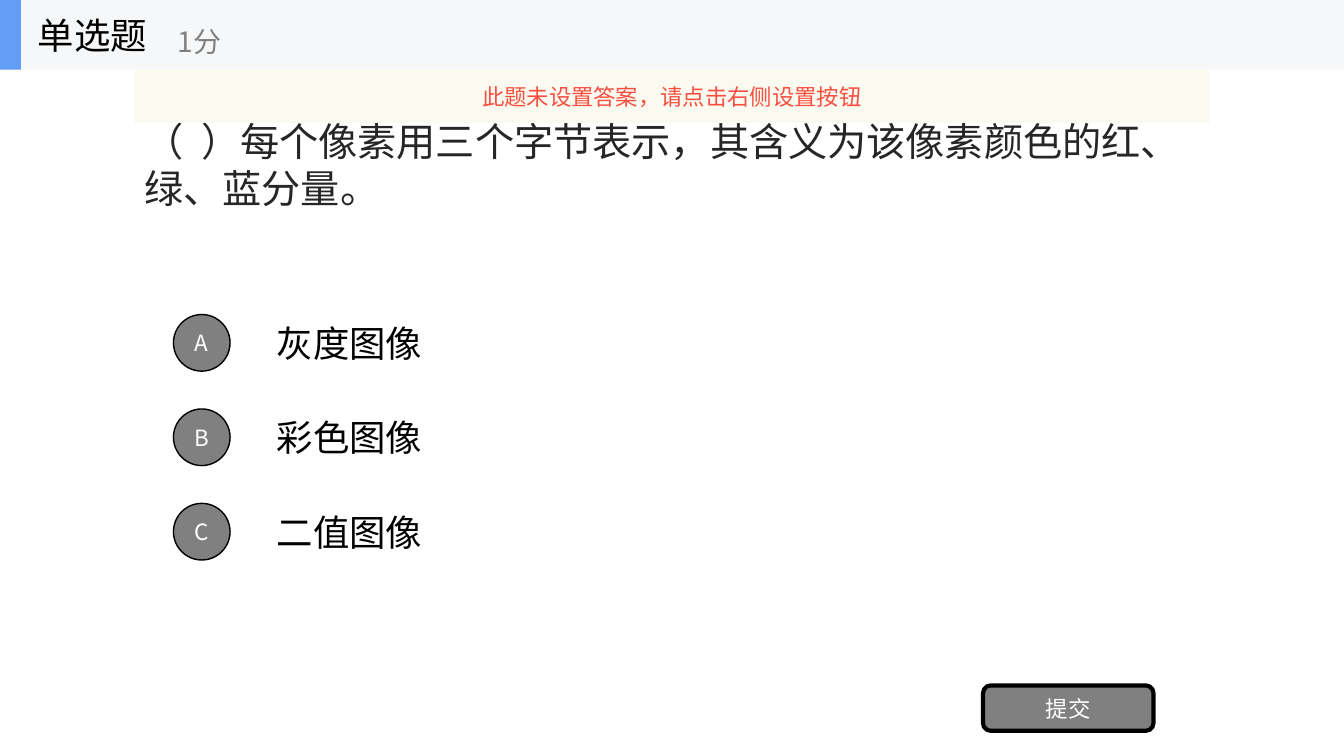
from dataclasses import dataclass

from lxml import etree
from pptx import Presentation
from pptx.dml.color import RGBColor
from pptx.enum.shapes import MSO_SHAPE
from pptx.enum.text import MSO_ANCHOR, PP_ALIGN
from pptx.oxml.ns import qn
from pptx.util import Inches, Pt

RECTANGLE, OVAL, ROUNDED = MSO_SHAPE.RECTANGLE, MSO_SHAPE.OVAL, MSO_SHAPE.ROUNDED_RECTANGLE
LEFT, CENTER, MIDDLE = PP_ALIGN.LEFT, PP_ALIGN.CENTER, MSO_ANCHOR.MIDDLE
WIDTH, HEIGHT = 13.33, 7.5


@dataclass(frozen=True)
class Theme:
    """Fonts, colours and type sizes of the quiz slide."""
    font: str = "Noto Sans CJK SC"
    black: str = "000000"
    ink: str = "262626"
    gray: str = "808080"
    white: str = "FFFFFF"
    header: str = "F6F7F8"
    accent: str = "639EF4"
    notice: str = "FBFAEF"
    warning: str = "F84F41"
    question_size: int = 28
    body_size: int = 26
    score_size: int = 20
    label_size: int = 16


THEME = Theme()


def write_text(shape, text, size, color, alignment=LEFT, wrap=True):
    """Put one formatted paragraph, centred vertically, into a shape."""
    frame = shape.text_frame
    for name, value in {"word_wrap": wrap, "vertical_anchor": MIDDLE}.items():
        setattr(frame, name, value)
    paragraph = frame.paragraphs[0]
    paragraph.alignment = alignment
    run = paragraph.add_run()
    run.text = text
    for name, value in {"name": THEME.font, "size": Pt(size)}.items():
        setattr(run.font, name, value)
    run.font.color.rgb = RGBColor.from_string(color)
    east_asian = etree.SubElement(run.font._element, qn("a:ea"))
    east_asian.set("typeface", THEME.font)
    return paragraph


def add_text(slide, box, *text_format, **options):
    """Add a text box in the given box."""
    shape = slide.shapes.add_textbox(*map(Inches, box))
    write_text(shape, *text_format, **options)
    return shape


def add_block(slide, kind, box, fill, line_width=0):
    """Add a filled preset shape, outlined in black when a width is given."""
    shape = slide.shapes.add_shape(kind, *map(Inches, box))
    shape.shadow.inherit = False
    shape.fill.solid()
    shape.fill.fore_color.rgb = RGBColor.from_string(fill)
    if line_width:
        shape.line.color.rgb = RGBColor.from_string(THEME.black)
        shape.line.width = Pt(line_width)
    else:
        shape.line.fill.background()
    return shape


def add_header(slide, box, title, score):
    """Draw the title bar with its accent, question type and score."""
    left, top, width, height = box
    add_block(slide, RECTANGLE, box, THEME.header)
    add_block(slide, RECTANGLE, (left, top, height * 0.3, height), THEME.accent)
    add_text(slide, (left + height * 0.4, top, height * 3, height),
             title, THEME.body_size, THEME.black, wrap=False)
    add_text(slide, (left + width / 8, top + height * 0.18, height * 3.6, height * 0.82),
             score, THEME.score_size, THEME.gray, wrap=False)


def add_question(slide, box, text):
    """Write the question, leaving one free line below it."""
    shape = add_text(slide, box, text, THEME.question_size, THEME.ink)
    shape.text_frame.margin_bottom = Inches(0.5)


def add_options(slide, box, options):
    """Lay out lettered options in equal rows of the box."""
    left, top, width, height = box
    row_height = height / len(options)
    text_height, circle = row_height * 0.75, row_height * 0.6
    indent = width * 0.09
    for index, (letter, text) in enumerate(options):
        row_top = top + index * row_height
        add_text(slide, (left + indent, row_top, width - indent, text_height),
                 text, THEME.body_size, THEME.black)
        badge_box = (left, row_top + (text_height - circle) / 2, circle, circle)
        badge = add_block(slide, OVAL, badge_box, THEME.gray, 1)
        write_text(badge, letter, THEME.label_size, THEME.white, CENTER)


def add_submit(slide, box, text):
    """Draw the submit button."""
    button = add_block(slide, ROUNDED, box, THEME.gray, 3)
    write_text(button, text, THEME.label_size, THEME.white, CENTER)


def add_notice(slide, box, text):
    """Draw the slightly transparent notice band."""
    band = add_block(slide, RECTANGLE, box, THEME.notice)
    color = band.fill._xPr.find(qn("a:solidFill"))[0]
    etree.SubElement(color, qn("a:alpha")).set("val", "90000")
    write_text(band, text, THEME.label_size, THEME.warning, CENTER, wrap=False)


def main():
    """Build and save the quiz slide."""
    presentation = Presentation()
    presentation.slide_width, presentation.slide_height = Inches(WIDTH), Inches(HEIGHT)
    slide = presentation.slides.add_slide(presentation.slide_layouts[6])
    margin, header_height = WIDTH * 0.1, 0.69
    content_width = WIDTH - 2 * margin
    add_question(slide, (margin, header_height, content_width, 2.34),
                 "（  ）每个像素用三个字节表示，其含义为该像素颜色的红、绿、蓝分量。")
    add_options(slide, (1.72, 3.05, 10.28, 2.81),
                [("A", "灰度图像"), ("B", "彩色图像"), ("C", "二值图像")])
    add_submit(slide, (9.75, 6.8, 1.69, 0.45), "提交")
    add_header(slide, (0, 0, WIDTH, header_height), "单选题", "1分")
    add_notice(slide, (margin, header_height, content_width, 0.53),
               "此题未设置答案，请点击右侧设置按钮")
    presentation.save("out.pptx")


if __name__ == "__main__":
    main()
